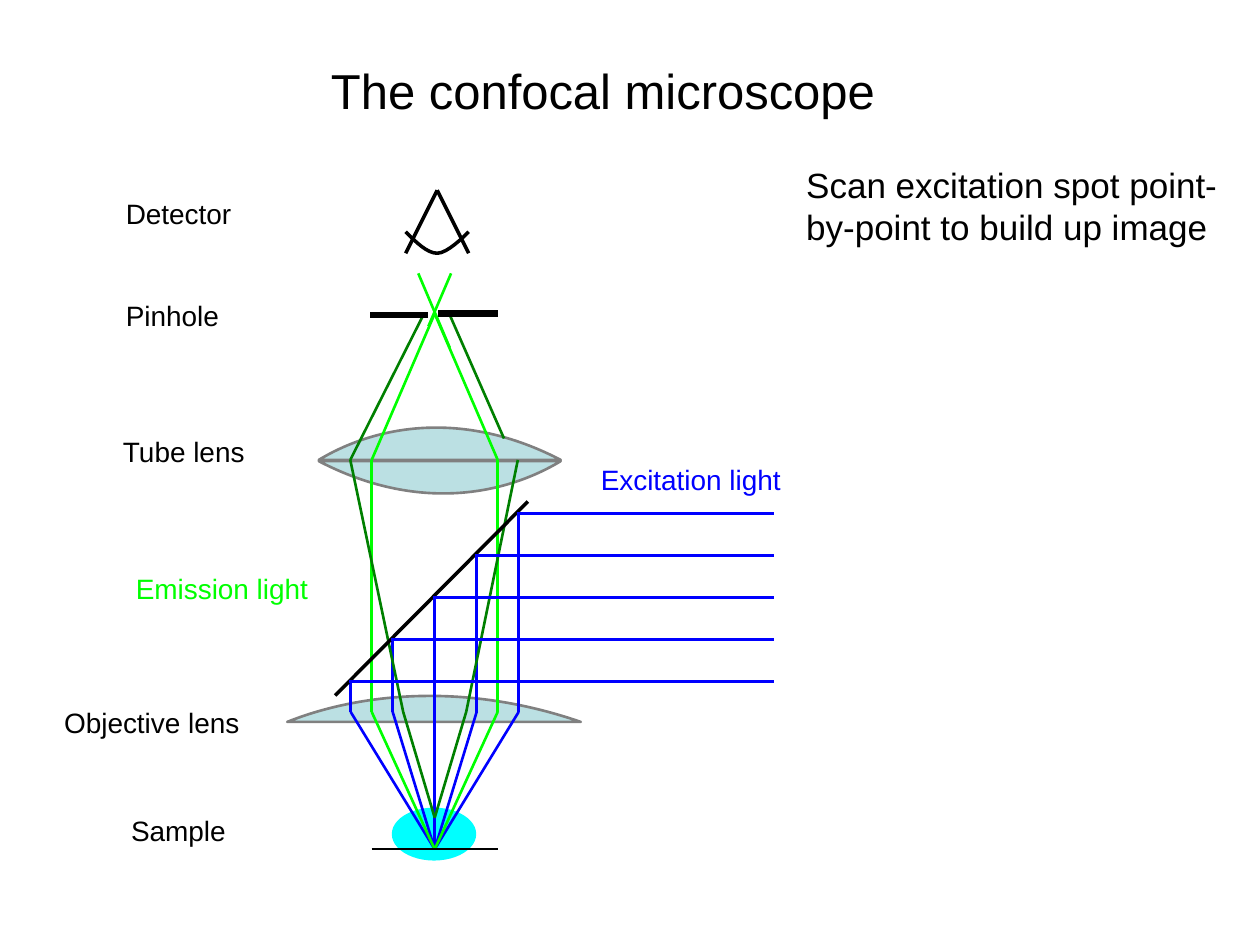
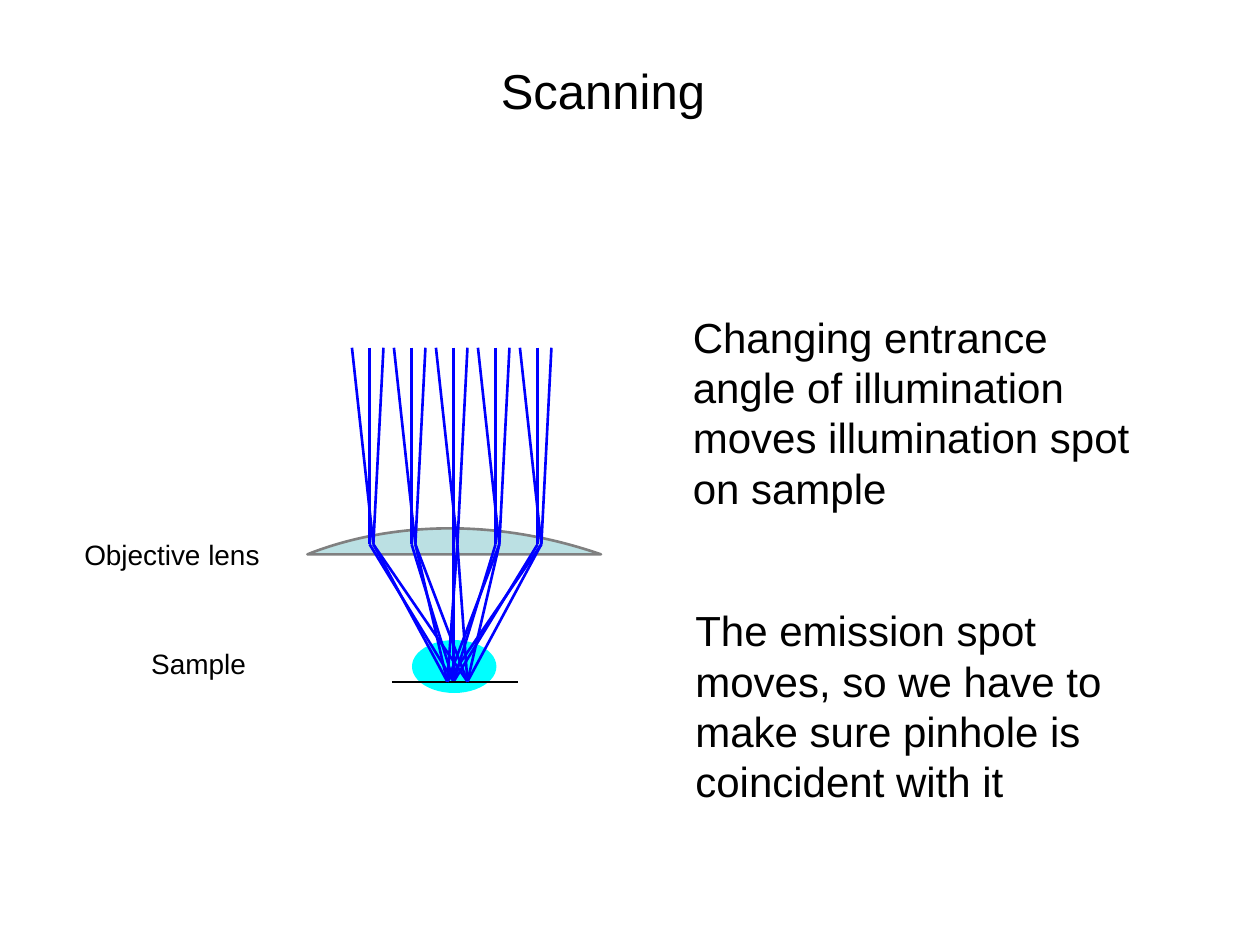
import dataclasses
import itertools
import typing

import lxml.etree
import pptx
import pptx.dml.color
import pptx.enum.shapes
import pptx.enum.text
import pptx.oxml.ns
import pptx.shapes.group
import pptx.slide
import pptx.util

Inches = pptx.util.Inches
Color = pptx.dml.color.RGBColor
Align = pptx.enum.text.PP_ALIGN
AutoSize = pptx.enum.text.MSO_AUTO_SIZE
Page = pptx.slide.Slide
Canvas = pptx.slide.Slide | pptx.shapes.group.GroupShape
qn = pptx.oxml.ns.qn


class Point(typing.NamedTuple):
    x: float
    y: float


class Pen(typing.NamedTuple):
    color: Color
    width: float


@dataclasses.dataclass(frozen=True)
class Theme:
    font: str = "Arial"
    title_size: int = 28
    body_size: int = 24
    note_size: int = 20
    label_size: int = 16
    black: Color = Color(0, 0, 0)
    blue: Color = Color(0, 0, 0xFF)
    green: Color = Color(0, 0xFF, 0)
    dark_green: Color = Color(0, 0x80, 0)
    grey: Color = Color(0x80, 0x80, 0x80)
    glass: Color = Color(0xBB, 0xE0, 0xE3)
    cyan: Color = Color(0, 0xFF, 0xFF)


THEME = Theme()
EXCITATION = Pen(THEME.blue, 1.5)
EMISSION = Pen(THEME.green, 1.5)
OUT_OF_FOCUS = Pen(THEME.dark_green, 1.5)
LENS_EDGE = Pen(THEME.grey, 1.5)
STAGE = Pen(THEME.black, 1)
OUTLINE = Pen(THEME.black, 2)
PINHOLE = Pen(THEME.black, 4)

RAY_STEPS = range(-2, 3)
RAY_GAP = 1 / 3


@dataclasses.dataclass(frozen=True)
class Label:
    text: str
    left: float
    top: float
    width: float
    height: float = 0.37
    size: int = THEME.label_size
    color: Color = THEME.black
    align: Align = Align.LEFT
    wrap: bool = False


@dataclasses.dataclass(frozen=True)
class Lens:
    """Half lens; a negative width and bulge turn it half round."""
    tip: Point
    width: float
    bulge: float


@dataclasses.dataclass(frozen=True)
class Objective:
    """Objective lens above a sample, placed by the point where light focuses."""
    focus: Point

    @property
    def lens_y(self) -> float:
        return self.focus.y - 1.09

    def at(self, right: float, down: float) -> Point:
        return Point(self.focus.x + right, self.focus.y + down)


@dataclasses.dataclass(frozen=True)
class Beam:
    """Sideways shifts of a scanned beam from the optical axis."""
    entry: float
    lens: float
    focus: float


def set_text(shape: typing.Any, label: Label) -> None:
    shape.left, shape.top = Inches(label.left), Inches(label.top)
    shape.width, shape.height = Inches(label.width), Inches(label.height)
    frame = shape.text_frame
    frame.text = label.text
    frame.word_wrap = label.wrap
    frame.auto_size = AutoSize.NONE
    frame.vertical_anchor = pptx.enum.text.MSO_ANCHOR.TOP
    para = frame.paragraphs[0]
    para.alignment = label.align
    font = para.runs[0].font
    font.name = THEME.font
    font.size = pptx.util.Pt(label.size)
    font.color.rgb = label.color


def add_label(page: Page, label: Label) -> None:
    box = page.shapes.add_textbox(0, 0, Inches(label.width), Inches(label.height))
    set_text(box, label)


def add_page(deck: typing.Any, title: str, left: float, width: float) -> Page:
    page = deck.slides.add_slide(deck.slide_layouts.get_by_name("Title Only"))
    set_text(page.shapes.title, Label(title, left, 0.43, width, 0.57,
                                      THEME.title_size, align=Align.CENTER))
    return page


def apply_pen(line: typing.Any, pen: Pen) -> None:
    line.color.rgb = pen.color
    line.width = pptx.util.Pt(pen.width)


def trace(canvas: Canvas, pen: Pen, *points: Point) -> None:
    """Join the points with straight lines."""
    for start, end in itertools.pairwise(points):
        connector = canvas.shapes.add_connector(
            pptx.enum.shapes.MSO_CONNECTOR.STRAIGHT,
            Inches(start.x), Inches(start.y), Inches(end.x), Inches(end.y))
        apply_pen(connector.line, pen)
        lxml.etree.SubElement(connector.element.spPr, qn("a:effectLst"))


def add_curve(canvas: Canvas, points: list[Point], pen: Pen,
              fill: Color | None = None) -> None:
    """Draw Bezier curves, three points each after the start; a fill closes them."""
    corners = [(Inches(p.x), Inches(p.y)) for p in points]
    builder = canvas.shapes.build_freeform(*corners[0], scale=1.0)
    builder.add_line_segments(corners[1:], close=fill is not None)
    shape = builder.convert_to_shape()
    segments = list(shape.element.iter(qn("a:lnTo")))
    for first in range(0, len(segments), 3):
        curve = lxml.etree.Element(qn("a:cubicBezTo"))
        segments[first].addprevious(curve)
        for segment in segments[first:first + 3]:
            curve.append(segment[0])
            segment.getparent().remove(segment)
    shape.shadow.inherit = False
    apply_pen(shape.line, pen)
    if fill is None:
        shape.fill.background()
    else:
        shape.fill.solid()
        shape.fill.fore_color.rgb = fill


def add_lens(canvas: Canvas, lens: Lens) -> None:
    x, y = lens.tip

    def place(across: float, up: float) -> Point:
        return Point(x + across * lens.width, y - up * lens.bulge)

    base = [lens.tip, place(0.41, 0), place(0.59, 0), place(1, 0)]
    dome = [place(0.59, 1), place(0.23, 0.65), lens.tip]
    add_curve(canvas, base + dome, LENS_EDGE, THEME.glass)


def add_objective(page: Page, objective: Objective) -> None:
    add_lens(page, Lens(objective.at(-1.17, -1.01), 2.33, 0.33))
    corner = objective.at(-0.34, -0.33)
    sample = page.shapes.add_shape(
        pptx.enum.shapes.MSO_SHAPE.OVAL, Inches(corner.x), Inches(corner.y),
        Inches(0.67), Inches(0.42))
    sample.shadow.inherit = False
    sample.fill.solid()
    sample.fill.fore_color.rgb = THEME.cyan
    sample.line.fill.background()
    for text, place, width in (("Sample", objective.at(-2.51, -0.33), 0.95),
                               ("Objective lens", objective.at(-3.05, -1.19), 1.6)):
        add_label(page, Label(text, place.x, place.y, width, align=Align.RIGHT))


def add_stage(page: Page, objective: Objective) -> None:
    trace(page, STAGE, objective.at(-0.5, 0), objective.at(0.5, 0))


def add_excitation(page: Page, objective: Objective, mirror_y: float) -> None:
    """Draw rays from the mirror down to the focus."""
    for step in RAY_STEPS:
        x = objective.focus.x + step * RAY_GAP
        trace(page, EXCITATION, Point(x, mirror_y - step * RAY_GAP),
              Point(x, objective.lens_y), objective.focus)


def add_emission(page: Page, axis: float, lens_y: float, tube_y: float) -> None:
    pinhole_y = 2.49
    for side in (-0.5, 0.5):
        trace(page, EMISSION, Point(axis, 6.74), Point(axis + side, lens_y),
              Point(axis + side, tube_y), Point(axis, pinhole_y))
    trace(page, OUT_OF_FOCUS, Point(axis, 6.49), Point(3.2, lens_y),
          Point(2.78, tube_y), Point(3.36, 2.5))
    trace(page, OUT_OF_FOCUS, Point(axis, 6.49), Point(3.7, lens_y),
          Point(4.11, tube_y))
    trace(page, OUT_OF_FOCUS, Point(4, 3.48), Point(3.57, 2.5))


def add_detector(page: Page) -> None:
    trace(page, OUTLINE, Point(3.47, 1.51), Point(3.22, 2.01))
    trace(page, OUTLINE, Point(3.47, 1.51), Point(3.72, 2.01))
    add_curve(page, [Point(3.22, 1.84), Point(3.3, 1.92), Point(3.39, 2.01),
                     Point(3.47, 2.01), Point(3.55, 2.01), Point(3.68, 1.88),
                     Point(3.72, 1.84)], OUTLINE)


def build_microscope(deck: typing.Any) -> None:
    page = add_page(deck, "The confocal microscope", 2.52, 4.53)
    objective = Objective(Point(3.45, 6.74))
    axis, mirror_y, tube_y = objective.focus.x, 4.74, 3.65

    add_objective(page, objective)
    add_excitation(page, objective, mirror_y)
    tube_lens = page.shapes.add_group_shape()
    add_lens(tube_lens, Lens(Point(2.53, tube_y), 1.92, 0.41))
    add_lens(tube_lens, Lens(Point(4.45, tube_y + 0.01), -1.92, -0.41))
    add_emission(page, axis, objective.lens_y, tube_y)
    add_stage(page, objective)

    trace(page, OUTLINE, Point(2.66, 5.52), Point(4.19, 3.98))
    for step in RAY_STEPS:
        y = mirror_y - step * RAY_GAP
        trace(page, EXCITATION, Point(axis + step * RAY_GAP - 0.01, y),
              Point(6.14, y))

    trace(page, PINHOLE, Point(2.94, 2.5), Point(3.4, 2.5))
    trace(page, PINHOLE, Point(3.48, 2.49), Point(3.95, 2.49))
    trace(page, EMISSION, Point(3.4, 2.59), Point(3.58, 2.17))
    trace(page, EMISSION, Point(3.57, 2.76), Point(3.32, 2.17))
    add_detector(page)

    for label in (
        Label("Detector", 0.9, 1.51, 1.04),
        Label("Pinhole", 0.9, 2.32, 0.94),
        Label("Tube lens", 0.86, 3.4, 1.18, align=Align.RIGHT),
        Label("Emission light", 0.98, 4.49, 1.57, color=THEME.green),
        Label("Excitation light", 4.67, 3.62, 1.63, color=THEME.blue),
        Label("Scan excitation spot point-by-point to build up image",
              6.3, 1.25, 3.6, 0.77, THEME.note_size, wrap=True),
    ):
        add_label(page, label)


def add_beam(canvas: Canvas, objective: Objective, beam: Beam) -> None:
    entry_y = 2.76
    for step in RAY_STEPS:
        x = objective.focus.x + step * RAY_GAP
        trace(canvas, EXCITATION, Point(x + beam.entry, entry_y),
              Point(x + beam.lens, objective.lens_y), objective.at(beam.focus, 0))


def build_scanning(deck: typing.Any) -> None:
    page = add_page(deck, "Scanning", 3.87, 1.83)
    objective = Objective(Point(3.61, 5.41))
    add_objective(page, objective)
    add_beam(page, objective, Beam(-0.01, -0.01, -0.01))
    add_stage(page, objective)
    for tilted in (Beam(-0.15, 0.02, 0.1), Beam(0.1, 0.02, -0.06)):
        add_beam(page.shapes.add_group_shape(), objective, tilted)

    for text, left, top in (
        ("Changing entrance angle of illumination moves illumination spot "
         "on sample", 5.4, 2.42),
        ("The emission spot moves, so we have to make sure pinhole is "
         "coincident with it", 5.42, 4.75),
    ):
        add_label(page, Label(text, left, top, 3.92, 1.7, THEME.body_size, wrap=True))


def main() -> None:
    deck = pptx.Presentation()
    deck.slide_width, deck.slide_height = Inches(10), Inches(7.5)
    build_microscope(deck)
    build_scanning(deck)
    deck.save("out.pptx")


if __name__ == "__main__":
    main()
